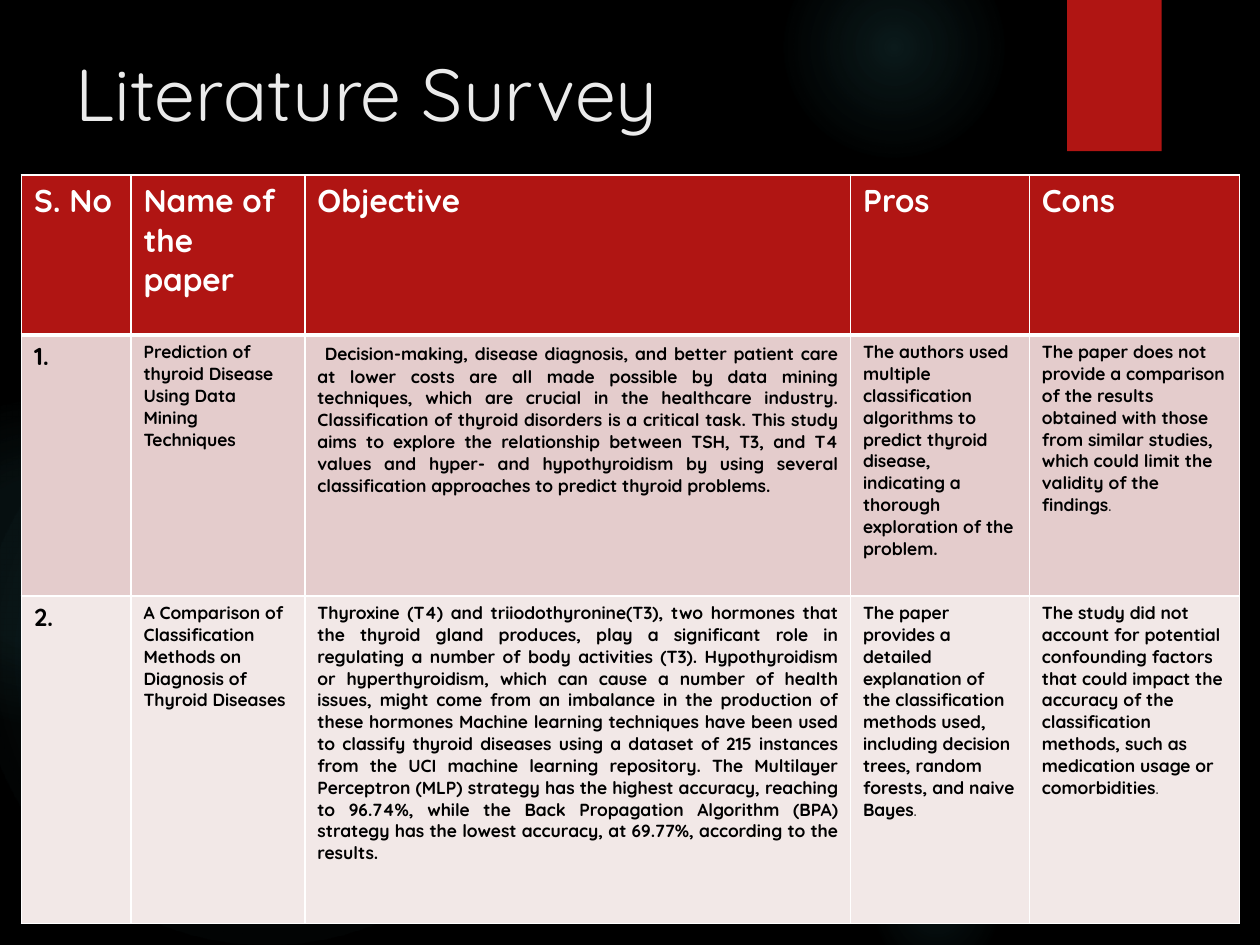
"""Build the Literature Survey slide with its comparison table."""
import lxml.etree
import pptx
import pptx.dml.color
import pptx.enum.shapes
import pptx.enum.text
import pptx.oxml
import pptx.oxml.ns
import pptx.util

Inches = pptx.util.Inches
Pt = pptx.util.Pt
PP_ALIGN = pptx.enum.text.PP_ALIGN
MSO_SHAPE = pptx.enum.shapes.MSO_SHAPE

COLOURS = {
    "background": "000000", "glow": "50B9C1", "accent": "B01513",
    "title": "EBEBEB", "white": "FFFFFF", "text": "000000",
    "odd": "E4CCCC", "even": "F2E8E7",
}
FORMATS = {
    "title": {"size": Pt(42), "bold": False},
    "header": {"size": Pt(18), "bold": True},
    "number": {"size": Pt(14), "bold": True},
    "body": {"size": Pt(10), "bold": True},
    "indent": {"size": Pt(11), "bold": True},
    "stop": {"size": Pt(10), "bold": False},
}
GLOWS = [
    (6.22, -0.5, 1.75, [(0, 14), (36, 7), (73, 0)]),
    (6.89, 6.67, 1.08, [(0, 9), (36, 5), (66, 0)]),
    (-0.17, 2.92, 4.58, [(0, 11), (36, 10), (75, 0)]),
    (-0.92, 3.17, 2.58, [(0, 8), (36, 8), (72, 0)]),
]
HEADINGS = ["S. No", "Name of the paper", "Objective", "Pros", "Cons"]
PAPERS = [
    [
        [("1.", "number")],
        [("Prediction of thyroid Disease Using Data Mining Techniques", "body")],
        [(" ", "indent"),
         ("Decision-making, disease diagnosis, and better patient care at lower costs are all "
          "made possible by data mining techniques, which are crucial in the healthcare "
          "industry. Classification of thyroid disorders is a critical task. This study aims to "
          "explore the relationship between TSH, T3, and T4 values and hyper- and "
          "hypothyroidism by using several classification approaches to predict thyroid "
          "problems.", "body")],
        [("The authors used multiple classification algorithms to predict thyroid disease, "
          "indicating a thorough exploration of the problem.", "body")],
        [("The paper does not provide a comparison of the results obtained with those from "
          "similar studies, which could limit the validity of the findings", "body"),
         (".", "stop")],
    ],
    [
        [("2.", "number")],
        [("A Comparison of Classification Methods on Diagnosis of Thyroid Diseases", "body")],
        [("Thyroxine (T4) and triiodothyronine(T3), two hormones that the thyroid gland "
          "produces, play a significant role in regulating a number of body activities (T3). "
          "Hypothyroidism or hyperthyroidism, which can cause a number of health issues, might "
          "come from an imbalance in the production of these hormones Machine learning "
          "techniques have been used to classify thyroid diseases using a dataset of 215 "
          "instances from the UCI machine learning repository. The Multilayer Perceptron (MLP) "
          "strategy has the highest accuracy, reaching to 96.74%, while the Back Propagation "
          "Algorithm (BPA) strategy has the lowest accuracy, at 69.77%, according to the "
          "results.", "body")],
        [("The paper provides a detailed explanation of the classification methods used, "
          "including decision trees, random forests, and naive Bayes", "body"),
         (".", "stop")],
        [("The study did not account for potential confounding factors that could impact the "
          "accuracy of the classification methods, such as medication usage or comorbidities",
          "body"), (".", "stop")],
    ],
]
COLUMN_WIDTHS = [0.87, 1.38, 4.33, 1.42, 1.67]
ROW_HEIGHTS = [1.27, 2.07, 2.6]
TABLE_LEFT, TABLE_TOP = 0.17, 1.39


def colour(name):
    return pptx.dml.color.RGBColor.from_string(COLOURS[name])


def element(tag, children=(), **attributes):
    node = pptx.oxml.parse_xml(f'<a:{tag} {pptx.oxml.ns.nsdecls("a")}/>')
    for key, value in attributes.items():
        node.set(key, str(value))
    node.extend(children)
    return node


def tint(name, percent):
    return element("srgbClr", [element("alpha", val=percent * 1000)], val=COLOURS[name])


def add_plain(slide, kind, box, fill):
    shape = slide.shapes.add_shape(kind, *map(Inches, box))
    shape.shadow.inherit = False
    shape.fill.solid()
    shape.fill.fore_color.rgb = colour(fill)
    shape.line.fill.background()
    return shape


def add_glow(slide, left, top, size, stops):
    glow = add_plain(slide, MSO_SHAPE.OVAL, (left, top, size, size), "glow")
    properties = glow.element.spPr
    gradient = element("gradFill", [
        element("gsLst", [element("gs", [tint("glow", alpha)], pos=position * 1000)
                          for position, alpha in stops]),
        element("path", [element("fillToRect", l=50000, t=50000, r=50000, b=50000)],
                path="circle"),
    ], rotWithShape=1)
    properties.replace(properties.find(pptx.oxml.ns.qn("a:solidFill")), gradient)


def add_ribbon(slide):
    ribbon = add_plain(slide, MSO_SHAPE.RECTANGLE, (8.47, 0, 0.75, 1.2), "accent")
    effects = ribbon.element.spPr.find(pptx.oxml.ns.qn("a:effectLst"))
    effects.append(element("outerShdw", [tint("background", 45)], blurRad=Pt(3), dist=Pt(2),
                           dir=90 * 60000, rotWithShape=0))


def write(paragraph, runs, colour_name):
    for text, style in runs:
        run = paragraph.add_run()
        run.text = text
        run.font.name = "Quicksand"
        run.font.color.rgb = colour(colour_name)
        for attribute, value in FORMATS[style].items():
            setattr(run.font, attribute, value)


def add_title(slide):
    title = slide.shapes.add_textbox(*map(Inches, (0.5, 0.3, 9, 0.87)))
    title.text_frame.word_wrap = True
    title.text_frame.vertical_anchor = pptx.enum.text.MSO_ANCHOR.MIDDLE
    write(title.text_frame.paragraphs[0], [("Literature Survey", "title")], "title")


def style_cell(cell, row):
    widths = {"L": 1, "R": 1, "T": 3 if row == 1 else 1, "B": 3 if row == 0 else 1}
    for side, width in widths.items():
        line = element("solidFill", [element("srgbClr", val=COLOURS["white"])])
        cell._tc.get_or_add_tcPr().append(element("ln" + side, [line], w=Pt(width)))
    cell.fill.solid()
    cell.fill.fore_color.rgb = colour(("accent", "odd", "even")[row])


def add_survey(slide):
    rows = [[[(heading, "header")] for heading in HEADINGS]] + PAPERS
    survey = slide.shapes.add_table(
        len(rows), len(HEADINGS), Inches(TABLE_LEFT), Inches(TABLE_TOP),
        Inches(sum(COLUMN_WIDTHS)), Inches(sum(ROW_HEIGHTS))).table
    for column, width in zip(survey.columns, COLUMN_WIDTHS):
        column.width = Inches(width)
    for row, (entries, height) in enumerate(zip(rows, ROW_HEIGHTS)):
        survey.rows[row].height = Inches(height)
        for column, runs in enumerate(entries):
            cell = survey.cell(row, column)
            style_cell(cell, row)
            paragraph = cell.text_frame.paragraphs[0]
            if row and HEADINGS[column] == "Objective":
                paragraph.alignment = PP_ALIGN.JUSTIFY
            write(paragraph, runs, "text" if row else "white")


def main():
    deck = pptx.Presentation()
    deck.slide_width, deck.slide_height = Inches(10), Inches(7.5)
    slide = deck.slides.add_slide(deck.slide_layouts[6])
    slide.background.fill.solid()
    slide.background.fill.fore_color.rgb = colour("background")
    for glow in GLOWS:
        add_glow(slide, *glow)
    add_ribbon(slide)
    add_title(slide)
    add_survey(slide)
    deck.save("out.pptx")


if __name__ == "__main__":
    main()
